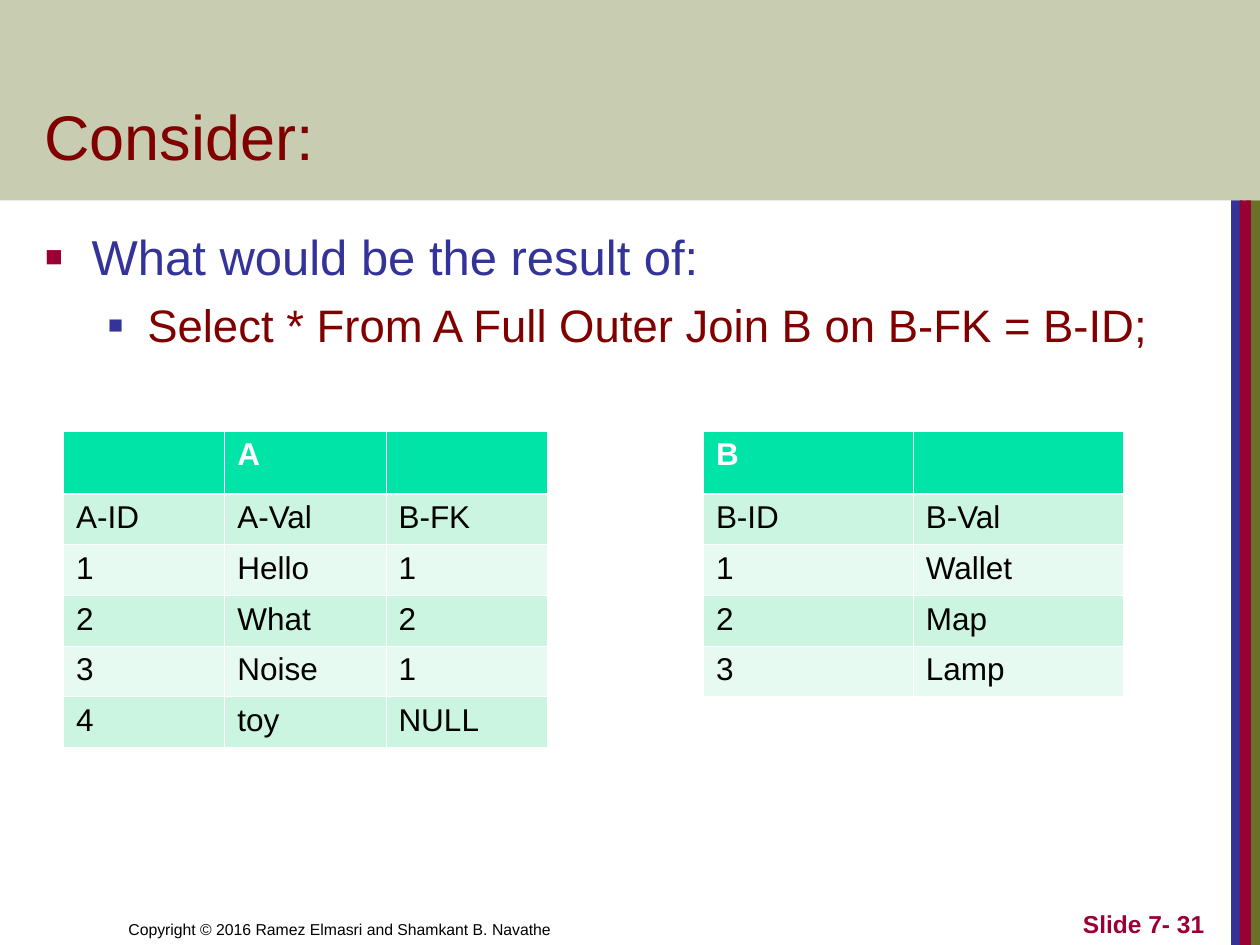
from dataclasses import dataclass

from lxml import etree
from pptx import Presentation
from pptx.dml.color import RGBColor
from pptx.enum import shapes, text
from pptx.oxml import ns
from pptx.util import Cm, Pt

FONT = "Arial"
WHITE = "FFFFFF"
BLACK = "000000"
MAROON = "800000"
CRIMSON = "990033"
NAVY = "333399"
OLIVE = "677228"
GREEN = "00E4A8"
ROW_FILLS = ("CBF5E1", "E7FAF1")
SLIDE_WIDTH, SLIDE_HEIGHT = 25.4, 19.05
BAND_HEIGHT = 4.04
TABLE_TOP = 8.69
HEADER_HEIGHT, ROW_HEIGHT = 1.27, 1.02
THIN, THICK = 0.45, 1.47


@dataclass
class Box:
    left: float
    top: float
    width: float
    height: float

    def lengths(self) -> tuple:
        return Cm(self.left), Cm(self.top), Cm(self.width), Cm(self.height)


@dataclass
class Label:
    box: Box
    words: str
    size: float
    color: str
    bold: bool = False
    align: text.PP_ALIGN = text.PP_ALIGN.LEFT


@dataclass
class Bullet:
    words: str
    size: float
    color: str
    bullet_color: str
    bullet_percent: int
    level: int
    margin: float
    hanging: float
    space_before: float


@dataclass
class Grid:
    left: float
    column_width: float
    rows: list[list[str]]


STRIPES = [
    (Box(25.12, BAND_HEIGHT, 0.28, SLIDE_HEIGHT - BAND_HEIGHT), OLIVE),
    (Box(24.82, BAND_HEIGHT, 0.23, SLIDE_HEIGHT - BAND_HEIGHT), NAVY),
    (Box(24.99, BAND_HEIGHT, 0.23, SLIDE_HEIGHT - BAND_HEIGHT), CRIMSON),
]
LABELS = [
    Label(Box(2.34, 17.78, 12.5, 1.27),
          "Copyright © 2016 Ramez Elmasri and Shamkant B. Navathe", 9, BLACK),
    Label(Box(0.64, 0.84, 21.67, 2.77), "Consider:", 36, MAROON),
    Label(Box(19.25, 17.78, 5.28, 1.27), "Slide 7- 31", 14, CRIMSON, True,
          text.PP_ALIGN.RIGHT),
]
BULLETS = [
    Bullet("What would be the result of:", 28, NAVY, CRIMSON, 60, 0, 0.94, 0.94, 0),
    Bullet("Select * From A Full Outer Join B on B-FK = B-ID;", 26, MAROON,
           NAVY, 55, 1, 2.06, 0.79, 6.5),
]
GRIDS = [
    Grid(1.28, 3.25, [
        ["", "A", ""],
        ["A-ID", "A-Val", "B-FK"],
        ["1", "Hello", "1"],
        ["2", "What", "2"],
        ["3", "Noise", "1"],
        ["4", "toy", "NULL"],
    ]),
    Grid(14.18, 4.23, [
        ["B", ""],
        ["B-ID", "B-Val"],
        ["1", "Wallet"],
        ["2", "Map"],
        ["3", "Lamp"],
    ]),
]


def rgb(value: str) -> RGBColor:
    return RGBColor.from_string(value)


def add_element(parent, tag: str, **attributes: str):
    return etree.SubElement(parent, ns.qn(tag), attributes)


def add_run(paragraph, words: str, size: float, color: str, bold: bool = False) -> None:
    run = paragraph.add_run()
    run.text = words
    run.font.name = FONT
    run.font.size = Pt(size)
    run.font.bold = bold
    run.font.color.rgb = rgb(color)


def add_rectangle(slide, box: Box, color: str):
    shape = slide.shapes.add_shape(shapes.MSO_SHAPE.RECTANGLE, *box.lengths())
    shape.shadow.inherit = False
    shape.fill.solid()
    shape.fill.fore_color.rgb = rgb(color)
    shape.line.fill.background()
    return shape


def add_title_band(slide) -> None:
    band = add_rectangle(slide, Box(0, 0, SLIDE_WIDTH, BAND_HEIGHT), OLIVE)
    color = band.fill._xPr.find(".//" + ns.qn("a:srgbClr"))
    add_element(color, "a:alpha", val="36000")


def add_label(slide, label: Label) -> None:
    frame = slide.shapes.add_textbox(*label.box.lengths()).text_frame
    frame.word_wrap = True
    frame.vertical_anchor = text.MSO_ANCHOR.BOTTOM
    paragraph = frame.paragraphs[0]
    paragraph.alignment = label.align
    add_run(paragraph, label.words, label.size, label.color, label.bold)


def add_bullets(slide, box: Box, bullets: list[Bullet]) -> None:
    frame = slide.shapes.add_textbox(*box.lengths()).text_frame
    frame.word_wrap = True
    frame.margin_right = 0
    for index, bullet in enumerate(bullets):
        paragraph = frame.add_paragraph() if index else frame.paragraphs[0]
        paragraph.level = bullet.level
        properties = paragraph._p.get_or_add_pPr()
        properties.set("marL", str(Cm(bullet.margin)))
        properties.set("indent", str(-Cm(bullet.hanging)))
        color = add_element(properties, "a:buClr")
        add_element(color, "a:srgbClr", val=bullet.bullet_color)
        add_element(properties, "a:buSzPct", val=str(bullet.bullet_percent * 1000))
        add_element(properties, "a:buFont", typeface=FONT)
        add_element(properties, "a:buChar", char="■")
        paragraph.space_before = Pt(bullet.space_before)
        add_run(paragraph, bullet.words, bullet.size, bullet.color)


def style_cell(cell, fill: str, top: float, bottom: float) -> None:
    properties = cell._tc.get_or_add_tcPr()
    widths = {"a:lnL": THIN, "a:lnR": THIN, "a:lnT": top, "a:lnB": bottom}
    for tag, width in widths.items():
        border = add_element(properties, tag, w=str(Pt(width)))
        solid = add_element(border, "a:solidFill")
        add_element(solid, "a:srgbClr", val=WHITE)
    cell.fill.solid()
    cell.fill.fore_color.rgb = rgb(fill)


def add_grid(slide, grid: Grid) -> None:
    row_count, column_count = len(grid.rows), len(grid.rows[0])
    box = Box(grid.left, TABLE_TOP, grid.column_width * column_count,
              HEADER_HEIGHT + ROW_HEIGHT * (row_count - 1))
    table = slide.shapes.add_table(row_count, column_count, *box.lengths()).table
    for column in table.columns:
        column.width = Cm(grid.column_width)
    for index, words in enumerate(grid.rows):
        header = index == 0
        table.rows[index].height = Cm(HEADER_HEIGHT if header else ROW_HEIGHT)
        fill = GREEN if header else ROW_FILLS[(index - 1) % 2]
        for column, word in enumerate(words):
            cell = table.cell(index, column)
            style_cell(cell, fill, THICK if index == 1 else THIN,
                       THICK if header else THIN)
            if word:
                add_run(cell.text_frame.paragraphs[0], word, 18,
                        WHITE if header else BLACK, header)


def main() -> None:
    presentation = Presentation()
    presentation.slide_width = Cm(SLIDE_WIDTH)
    presentation.slide_height = Cm(SLIDE_HEIGHT)
    slide = presentation.slides.add_slide(presentation.slide_layouts[6])
    for box, color in STRIPES:
        add_rectangle(slide, box, color)
    add_title_band(slide)
    for label in LABELS:
        add_label(slide, label)
    add_bullets(slide, Box(0.66, 4.45, 22.83, 2.97), BULLETS)
    for grid in GRIDS:
        add_grid(slide, grid)
    presentation.save("out.pptx")


if __name__ == "__main__":
    main()
